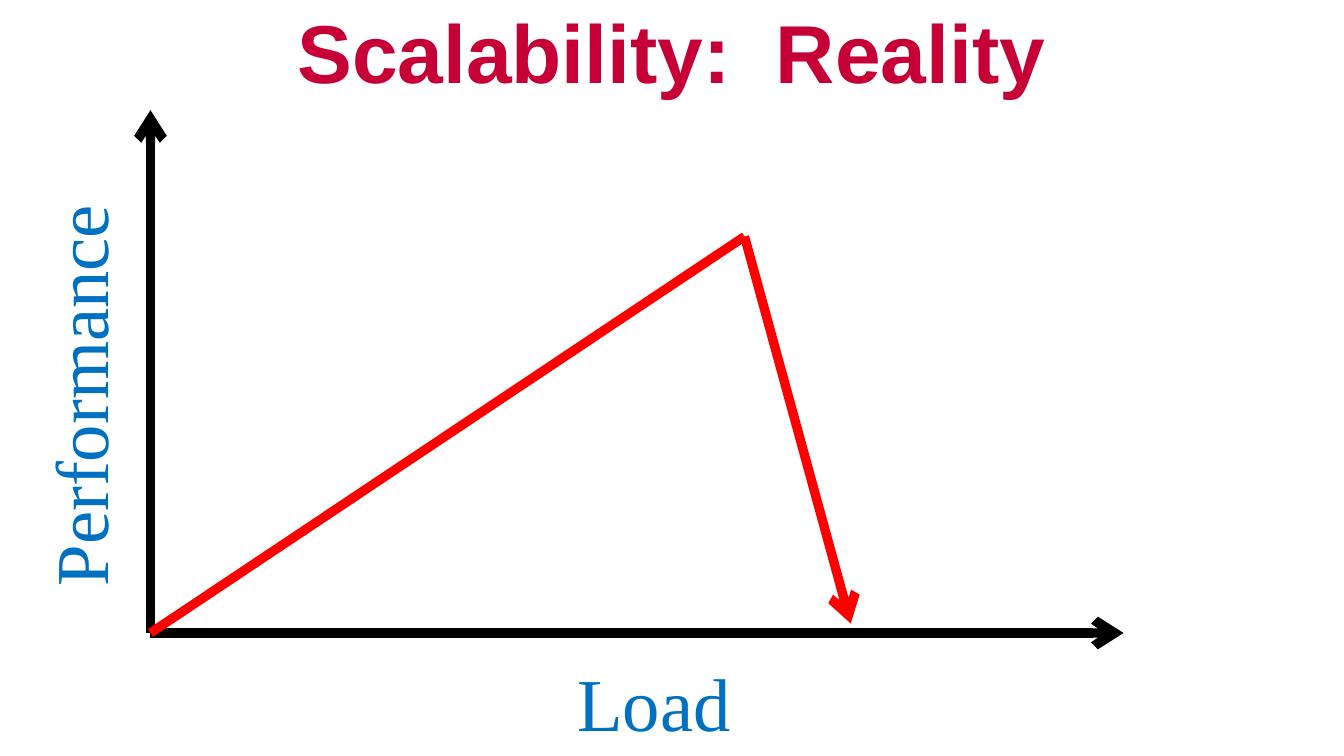
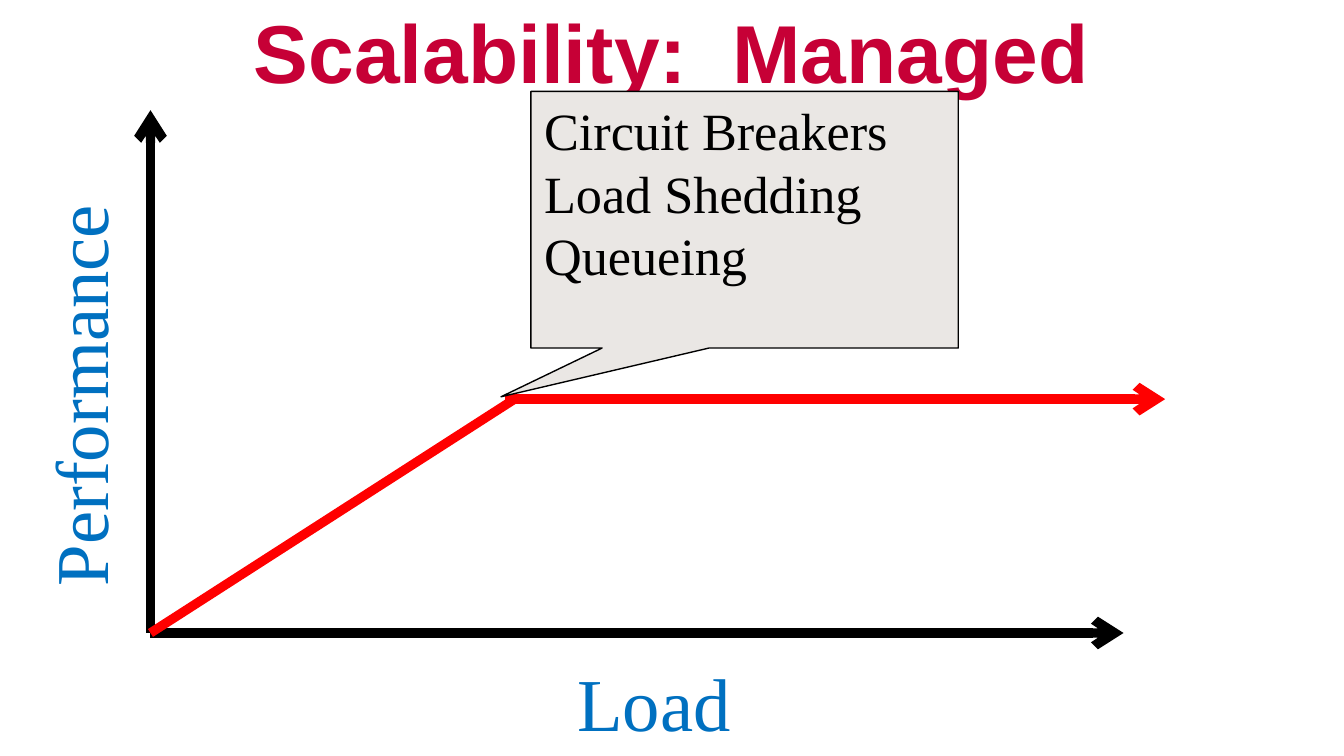
from lxml.etree import SubElement
from pptx import Presentation
from pptx.dml.color import RGBColor as RGB
from pptx.enum.shapes import MSO_CONNECTOR as CONN, MSO_SHAPE as SHAPE
from pptx.enum.text import MSO_ANCHOR as ANCHOR, PP_ALIGN as ALIGN
from pptx.oxml.ns import qn
from pptx.util import Inches, Pt

COLORS = {"title": "C60036", "axis": "000000", "label": "0070C0",
          "curve": "FF0000", "callout": "EAE7E4", "text": "000000"}
SERIF = "Times New Roman"
ORIGIN = (1.12, 4.71)

# Widescreen, 16:9
prs = Presentation()
prs.slide_width = Inches(10)
prs.slide_height = Inches(10 * 9 / 16)


def add_text(sp, text, size=40, font=SERIF, color="label", bold=False,
             align=ALIGN.CENTER, anchor=ANCHOR.TOP):
    tf = sp.text_frame
    tf.word_wrap = True
    tf.vertical_anchor = anchor
    for i, line in enumerate(text.split("\n")):
        p = tf.add_paragraph() if i else tf.paragraphs[0]
        p.alignment = align
        r = p.add_run()
        r.text = line
        r.font.size, r.font.name, r.font.bold = Pt(size), font, bold
        r.font.color.rgb = RGB.from_string(COLORS[color])


def add_line(s, start, end, color, arrow=True):
    line = s.shapes.add_connector(CONN.STRAIGHT, *map(Inches, start + end))
    line.line.width = Pt(5)
    line.line.color.rgb = RGB.from_string(COLORS[color])
    if arrow:
        SubElement(line._element.spPr.find(qn("a:ln")), qn("a:tailEnd"), type="arrow")
    SubElement(line._element.spPr, qn("a:effectLst"))


# Each chart: title, end of the rise, start and end of the arrow after it
charts = [
    ("Scalability:  Reality", (5.54, 1.76), (5.54, 1.76), (6.33, 4.64)),
    ("Scalability:  Managed", (3.86, 2.95), (3.76, 2.97), (8.67, 2.97)),
]

for title, peak, turn, finish in charts:
    s = prs.slides.add_slide(prs.slide_layouts[6])

    # Title
    sp = s.shapes.add_textbox(0, 0, prs.slide_width, Inches(0.75))
    add_text(sp, title, size=44, font="Arial", color="title", bold=True,
             anchor=ANCHOR.MIDDLE)

    # Axes
    for end in ((8.36, 4.71), (1.12, 0.82)):
        add_line(s, ORIGIN, end, "axis")

    # Axis labels
    for label, left, top, width, angle in (("Load", 2.36, 4.84, 5.01, 0),
                                           ("Performance", -1.18, 2.56, 3.53, 270)):
        sp = s.shapes.add_textbox(*map(Inches, (left, top, width, 0.77)))
        sp.rotation = angle
        add_text(sp, label)

    # Performance curve
    add_line(s, ORIGIN, peak, "curve", arrow=False)
    add_line(s, turn, finish, "curve")

# Callout on the last slide
sp = s.shapes.add_shape(SHAPE.RECTANGULAR_CALLOUT,
                        *map(Inches, (3.95, 0.68, 3.18, 1.91)))
sp.adjustments[0], sp.adjustments[1] = -0.57, 0.69
sp.shadow.inherit = False
sp.fill.solid()
sp.fill.fore_color.rgb = RGB.from_string(COLORS["callout"])
sp.line.color.rgb = RGB.from_string(COLORS["axis"])
sp.line.width = Pt(0.75)
add_text(sp, "Circuit Breakers\nLoad Shedding\nQueueing", size=28,
         color="text", align=ALIGN.LEFT)

prs.save("out.pptx")
